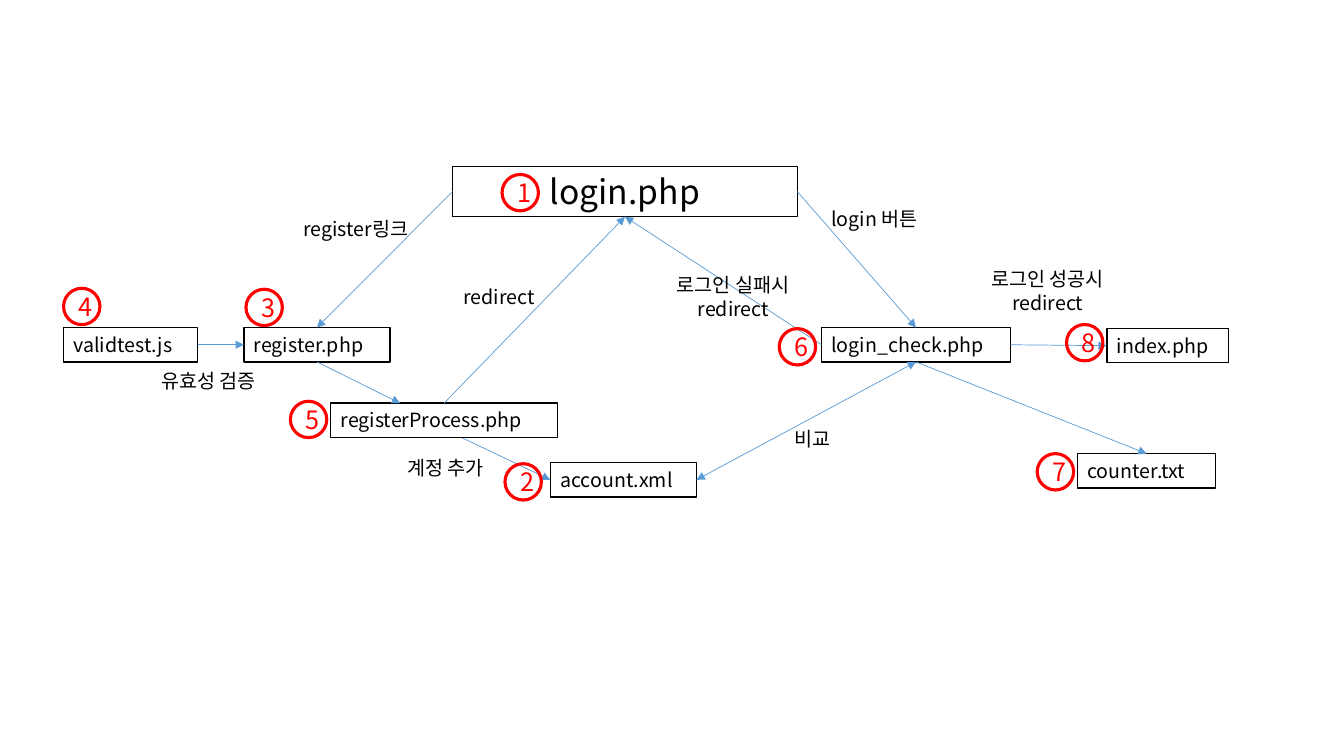
from dataclasses import dataclass
from pptx import Presentation
from pptx.dml.color import RGBColor as Rgb
from pptx.enum.shapes import MSO_CONNECTOR as Conn, MSO_SHAPE as Kind
from pptx.enum.text import MSO_ANCHOR as Anchor, PP_ALIGN as Align
from pptx.oxml.ns import qn
from pptx.util import Pt
from lxml.etree import SubElement as Sub


@dataclass(frozen=True)
class Theme:
    font: str = "Noto Sans CJK KR"
    ink: Rgb = Rgb(0, 0, 0)
    paper: Rgb = Rgb(255, 255, 255)
    mark: Rgb = Rgb(255, 0, 0)
    link: Rgb = Rgb(0x5B, 0x9B, 0xD5)
    body: int = 14
    badge: int = 18
    title: int = 24


THEME = Theme()
TOP, LEFT, BOTTOM, RIGHT = range(4)
ROW = 24.5
DISC = 26

HOME = ("login.php", 323.3, 118.8, 246.2, 36)
FILES = {
    "register.php": (174.2, 234, 104.4),
    "login_check.php": (586.8, 234, 135),
    "account.xml": (393.1, 330.5, 104.4),
    "counter.txt": (769.7, 324, 98.6),
    "validtest.js": (45.4, 234, 95.8),
    "index.php": (790.6, 234.7, 87.1),
}
PROCESS = ("registerProcess.php", 236.2, 288, 162)
LINKS = [
    ("login.php", LEFT, "register.php", TOP),
    ("login.php", RIGHT, "login_check.php", TOP),
    ("login_check.php", LEFT, "login.php", BOTTOM),
    ("login_check.php", RIGHT, "index.php", LEFT),
    ("login_check.php", BOTTOM, "counter.txt", TOP),
    ("validtest.js", RIGHT, "register.php", LEFT),
    ("registerProcess.php", TOP, "login.php", BOTTOM),
]
LABELS = [
    ("register링크", 209.5, 151.2, 100, Align.LEFT),
    ("login 버튼", 586.8, 144, 83.5, Align.LEFT),
    ("비교", 560.2, 301.7, 42.5, Align.LEFT),
    ("유효성 검증", 108, 259.9, 90, Align.LEFT),
    ("계정 추가", 283.7, 321.8, 76.3, Align.LEFT),
    ("redirect", 324, 200.2, 73.4, Align.LEFT),
    ("로그인 실패시\nredirect", 471.6, 191.5, 104.4, Align.CENTER),
    ("로그인 성공시\nredirect", 696.2, 187.2, 104.4, Align.CENTER),
]
BADGES = [
    (358.6, 124.6), (360.7, 331.2), (175.7, 206.6), (45.4, 205.9),
    (207.4, 286.6), (556.6, 234.7), (740.9, 324), (761.8, 231.8),
]


def put(item, values):
    for name, value in values.items():
        setattr(item, name, value)


def write(shape, text, size, color, align):
    frame = shape.text_frame
    frame.word_wrap = True
    frame.text = text
    for para in frame.paragraphs:
        para.alignment = align
        for run in para.runs:
            put(run.font, {"name": THEME.font, "size": Pt(size)})
            run.font.color.rgb = color
            Sub(run.font._element, qn("a:ea"), typeface=THEME.font)


def add_box(slide, text, x, y, wide, high=ROW, size=THEME.body, align=Align.LEFT):
    box = slide.shapes.add_shape(Kind.RECTANGLE, Pt(x), Pt(y), Pt(wide), Pt(high))
    box.shadow.inherit = False
    box.fill.solid()
    box.fill.fore_color.rgb = THEME.paper
    box.line.color.rgb = THEME.ink
    box.line.width = Pt(1)
    box.text_frame.vertical_anchor = Anchor.TOP
    write(box, text, size, THEME.ink, align)
    return box


def add_label(slide, text, x, y, wide, align):
    high = ROW + 16.5 * text.count("\n")
    label = slide.shapes.add_textbox(Pt(x), Pt(y), Pt(wide), Pt(high))
    write(label, text, THEME.body, THEME.ink, align)


def add_badge(slide, text, x, y):
    disc = slide.shapes.add_shape(Kind.OVAL, Pt(x), Pt(y), Pt(DISC), Pt(DISC))
    disc.shadow.inherit = False
    disc.fill.background()
    disc.line.color.rgb = THEME.mark
    disc.line.width = Pt(2.25)
    disc.text_frame.vertical_anchor = Anchor.MIDDLE
    write(disc, text, THEME.badge, THEME.mark, Align.CENTER)


def add_arrow(slide, start=(0, 0), end=(0, 0), both=False):
    ends = [Pt(n) for n in (*start, *end)]
    arrow = slide.shapes.add_connector(Conn.STRAIGHT, *ends)
    arrow.line.color.rgb = THEME.link
    arrow.line.width = Pt(0.5)
    props = arrow._element.spPr
    for tag in ("a:headEnd", "a:tailEnd") if both else ("a:tailEnd",):
        Sub(props.find(qn("a:ln")), qn(tag), type="triangle")
    Sub(props, qn("a:effectLst"))
    return arrow


def join(slide, boxes, tail, out, head, side, both=False):
    arrow = add_arrow(slide, both=both)
    arrow.begin_connect(boxes[tail], out)
    arrow.end_connect(boxes[head], side)


def main():
    deck = Presentation()
    put(deck, {"slide_width": Pt(960), "slide_height": Pt(540)})
    slide = deck.slides.add_slide(deck.slide_layouts[6])

    boxes = {HOME[0]: add_box(slide, *HOME, THEME.title, Align.CENTER)}
    for name, place in FILES.items():
        boxes[name] = add_box(slide, name, *place)

    store = add_arrow(slide, start=(285.8, 291.6))
    store.end_connect(boxes["account.xml"], LEFT)
    boxes[PROCESS[0]] = add_box(slide, *PROCESS)
    enter = add_arrow(slide, end=(285.8, 288))
    enter.begin_connect(boxes["register.php"], BOTTOM)

    for link in LINKS:
        join(slide, boxes, *link)
    join(slide, boxes, "account.xml", RIGHT, "login_check.php", BOTTOM, both=True)

    for label in LABELS:
        add_label(slide, *label)
    for step, place in enumerate(BADGES, 1):
        add_badge(slide, str(step), *place)
    deck.save("out.pptx")


if __name__ == "__main__":
    main()
